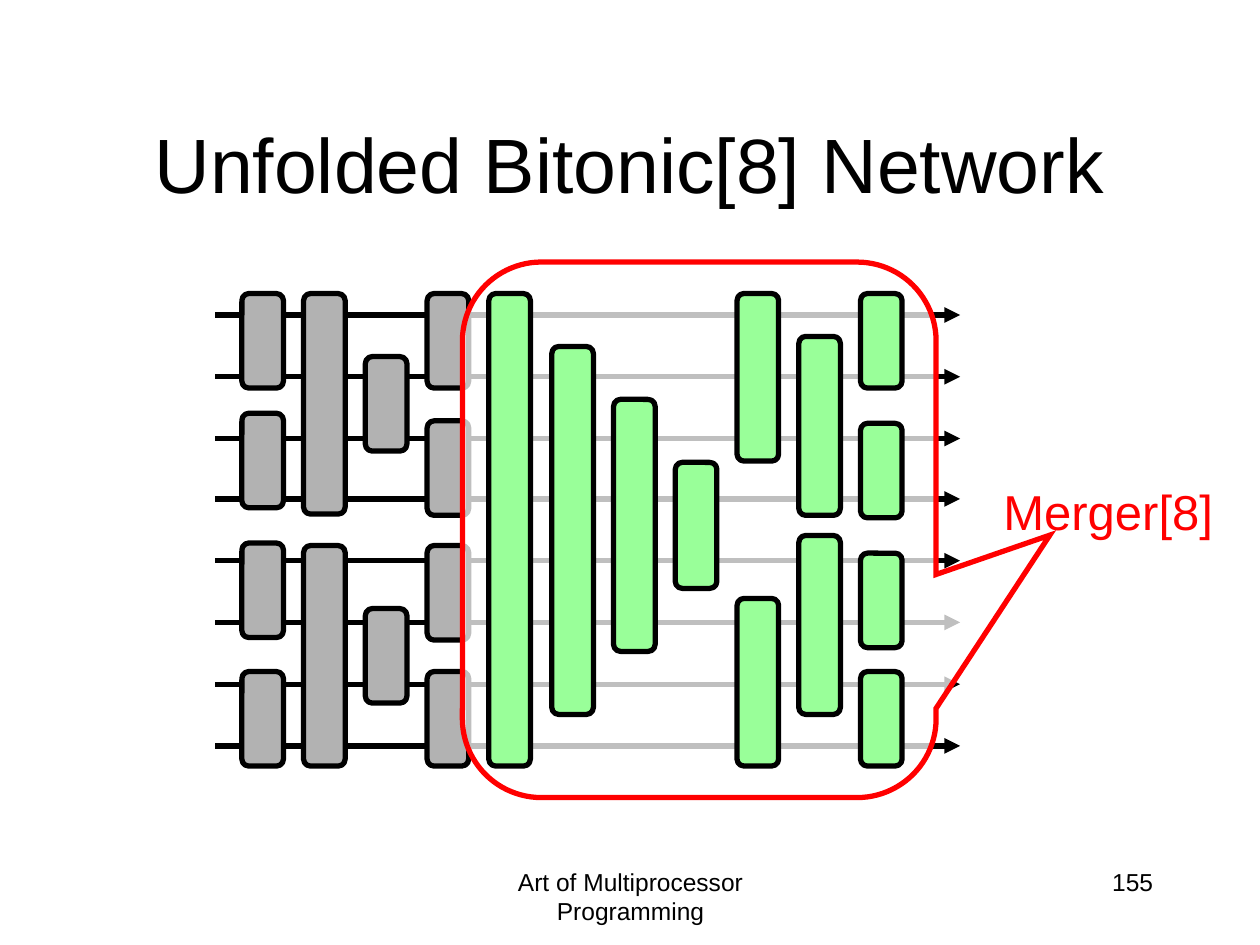
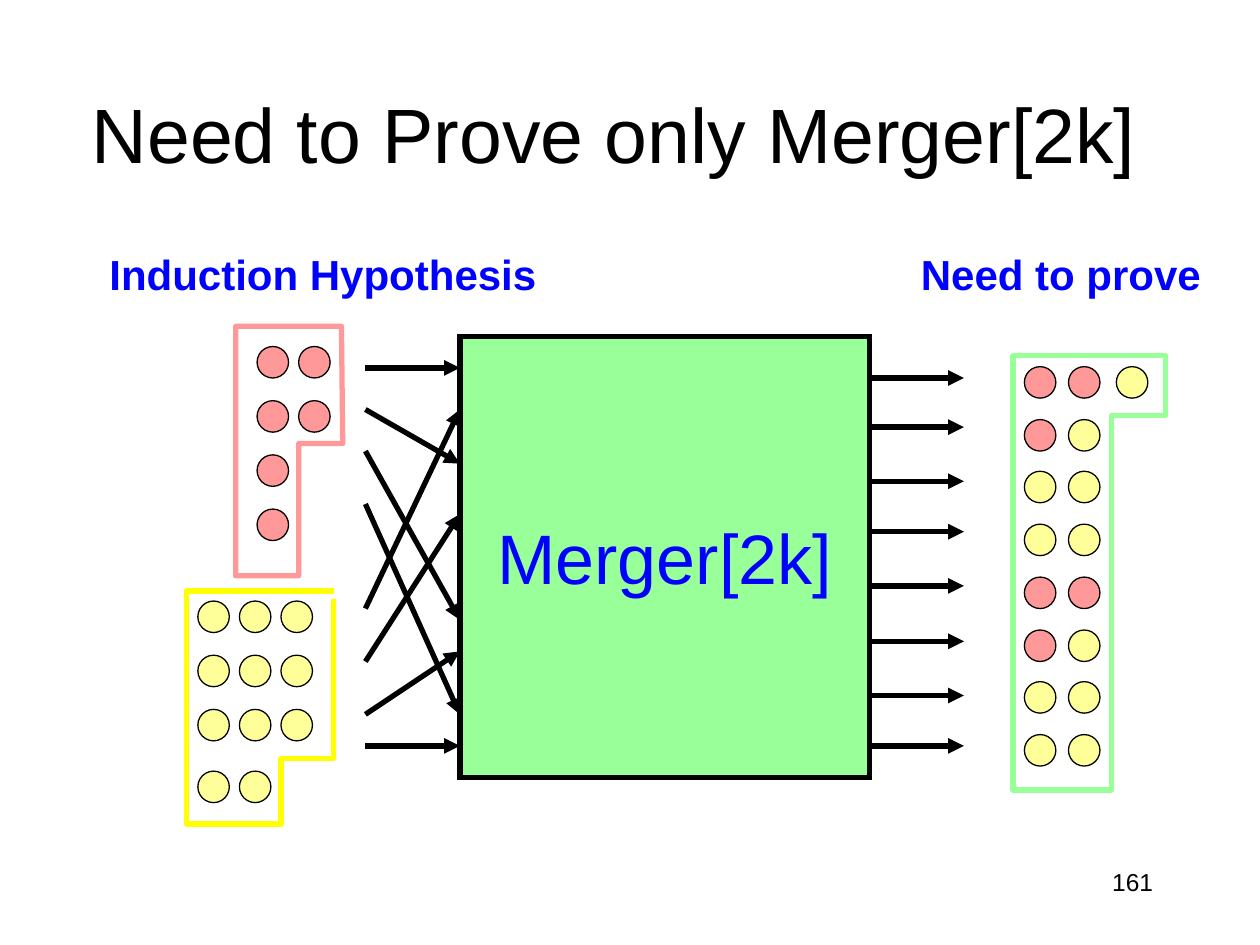
from dataclasses import dataclass
from typing import NamedTuple

from lxml.etree import SubElement
from pptx import Presentation
from pptx.dml.color import RGBColor
from pptx.enum.shapes import MSO_CONNECTOR as Link, MSO_SHAPE as Kind
from pptx.enum.text import MSO_ANCHOR as Anchor, PP_ALIGN as Align
from pptx.oxml.ns import qn
from pptx.util import Pt

PX = 9144  # EMU per px, 100 px to the inch
FONT = "Arial"
BLACK, WHITE, GREY = "000000", "FFFFFF", "B2B2B2"
RED, BLUE, YELLOW = "FF0000", "0000FF", "FFFF00"
GREEN, PINK, CREAM = "99FF99", "FF9999", "FFFF99"
THICK, THIN = 3, 0.75
TOKEN = 25
TOKEN_FILL = {"p": PINK, "c": CREAM}


class Box(NamedTuple):
    left: int
    top: int
    width: int
    height: int

    def emu(self) -> list[int]:
        return [side * PX for side in self]


@dataclass
class Stage:
    """One column of balancers, all of the same height."""
    height: int
    tops: list[int]


@dataclass
class Tray:
    """Rows of tokens, one letter per token, inside an outline."""
    rows: list[str]
    xs: list[int]
    ys: list[int]
    edge: list[tuple[int, int]]
    hue: str
    closed: bool = True


SORTERS = [
    Stage(75, [233, 328, 431, 533]),
    Stage(175, [233, 433]),
    Stage(75, [283, 483]),
    Stage(75, [233, 334, 433, 533]),
]
MERGERS = [
    Stage(375, [233]),
    Stage(292, [275]),
    Stage(200, [317]),
    Stage(100, [367]),
    Stage(133, [233, 475]),
    Stage(142, [267, 425]),
    Stage(75, [233, 336, 439, 533]),
]
TRAYS = [
    Tray(["ccc", "ccc", "ccc", "cc"], [157, 190, 223], [477, 520, 563, 612],
         [(265, 475), (265, 602), (223, 602), (223, 654), (148, 654),
          (148, 469), (265, 469)], YELLOW, closed=False),
    Tray(["pp", "pp", "p", "p"], [204, 237], [275, 318, 361, 404],
         [(271, 259), (272, 352), (237, 352), (237, 457), (187, 457),
          (187, 259)], PINK),
    Tray(["ppc", "pc", "cc", "cc", "pp", "pc", "cc", "cc"], [813, 848, 886],
         [round(291 + 41.7 * row) for row in range(8)],
         [(804, 282), (804, 627), (882, 627), (882, 330), (925, 330),
          (925, 282)], GREEN),
]
# Height at which each input leaves its sequence and enters the merger
INPUTS = [(292, 292), (325, 368), (358, 492), (400, 567),
          (483, 325), (525, 408), (567, 517), (592, 592)]
OUTPUTS = [300, 339, 382, 422, 465, 509, 552, 592]


def rgb(hue: str) -> RGBColor:
    return RGBColor.from_string(hue)


def stroke(item, hue: str, width: float):
    """Style the line of a shape or connector and return its a:ln element."""
    item.line.color.rgb = rgb(hue)
    item.line.width = Pt(width)
    return item.element.spPr.find(qn("a:ln"))


def draw(shapes, kind: Kind, box: Box, fill: str, hue: str = BLACK,
         width: float = THICK, sharp: bool = False):
    shape = shapes.add_shape(kind, *box.emu())
    shape.shadow.inherit = False
    shape.fill.solid()
    shape.fill.fore_color.rgb = rgb(fill)
    line = stroke(shape, hue, width)
    if sharp:
        SubElement(line, qn("a:miter"), lim="800000")
    return shape


def arrow(shapes, x1: int, y1: int, x2: int, y2: int) -> None:
    ends = [side * PX for side in (x1, y1, x2, y2)]
    link = shapes.add_connector(Link.STRAIGHT, *ends)
    line = stroke(link, BLACK, THICK)
    SubElement(line, qn("a:tailEnd"), type="triangle")
    SubElement(link.element.spPr, qn("a:effectLst"))


def write(shape, text: str, size: int, hue: str = BLACK,
          align: Align = Align.CENTER, bold: bool = False,
          wrap: bool = True) -> None:
    frame = shape.text_frame
    frame.text = text
    frame.word_wrap = wrap
    para = frame.paragraphs[0]
    para.alignment = align
    font = para.runs[0].font
    font.name, font.size, font.bold = FONT, Pt(size), bold
    font.color.rgb = rgb(hue)


def label(slide, box: Box, text: str, size: int, **style) -> None:
    write(slide.shapes.add_textbox(*box.emu()), text, size, **style)


def start(deck, title: str, box: Box, number: str):
    """Add a slide with its title and slide number."""
    slide = deck.slides.add_slide(deck.slide_layouts[5])
    head = slide.shapes.title
    head.left, head.top, head.width, head.height = box.emu()
    write(head, title, 44)
    head.text_frame.vertical_anchor = Anchor.MIDDLE
    label(slide, Box(717, 683, 208, 50), number, 14, align=Align.RIGHT)
    return slide


def bars(shapes, stages: list[Stage], first: int, fill: str) -> None:
    for col, stage in enumerate(stages, first):
        left = round(192 + 49.1 * col)
        for top in stage.tops:
            draw(shapes, Kind.ROUNDED_RECTANGLE,
                 Box(left, top, 33, stage.height), fill)


def fill_tray(slide, tray: Tray) -> None:
    shapes = slide.shapes.add_group_shape().shapes
    for row, y in zip(tray.rows, tray.ys):
        for token, x in zip(row, tray.xs):
            draw(shapes, Kind.OVAL, Box(x, y, TOKEN, TOKEN),
                 TOKEN_FILL[token], width=THIN)
    path = shapes.build_freeform(*tray.edge[0], scale=PX)
    path.add_line_segments(tray.edge[1:], close=tray.closed)
    edge = path.convert_to_shape()
    edge.shadow.inherit = False
    edge.fill.background()
    stroke(edge, tray.hue, THICK)


def network(deck) -> None:
    slide = start(deck, "Unfolded Bitonic[8] Network",
                  Box(75, 67, 850, 125), "155")
    shapes = slide.shapes
    label(slide, Box(342, 683, 317, 50),
          "Art of Multiprocessor Programming", 14)
    for wire in range(8):
        y = round(250 + 48.8 * wire)
        arrow(shapes, 171, y, 762, y)
    bars(shapes, SORTERS, 0, GREY)
    veil = draw(shapes, Kind.ROUNDED_RECTANGULAR_CALLOUT,
                Box(367, 208, 376, 425), WHITE, RED, sharp=True)
    veil.adjustments[0], veil.adjustments[1] = 0.74, 0.01
    tint = veil.element.spPr.find(qn("a:solidFill"))[0]
    SubElement(tint, qn("a:alpha"), val="75000")
    label(slide, Box(785, 377, 189, 57), "Merger[8]", 28, hue=RED, wrap=False)
    bars(shapes, MERGERS, len(SORTERS), GREEN)


def proof(deck) -> None:
    slide = start(deck, "Need to Prove only Merger[2k]",
                  Box(0, 43, 975, 125), "161")
    shapes = slide.shapes
    block = Box(365, 267, 325, 350)
    merger = draw(shapes, Kind.RECTANGLE, block, GREEN, sharp=True)
    write(merger, "Merger[2k]", 40, BLUE, wrap=False)
    right, reach = block.left + block.width, 75
    for y1, y2 in INPUTS:
        arrow(shapes, block.left - reach, y1, block.left, y2)
    for y in OUTPUTS:
        arrow(shapes, right, y, right + reach, y)
    for tray in TRAYS:
        fill_tray(slide, tray)
    for left, width, text in [(77, 362, "Induction Hypothesis"),
                              (721, 245, "Need to prove")]:
        label(slide, Box(left, 192, width, 50), text, 24, hue=BLUE,
              align=Align.LEFT, bold=True, wrap=False)


def main() -> None:
    deck = Presentation()
    deck.slide_width, deck.slide_height = 1000 * PX, 750 * PX
    network(deck)
    proof(deck)
    deck.save("out.pptx")


if __name__ == "__main__":
    main()
